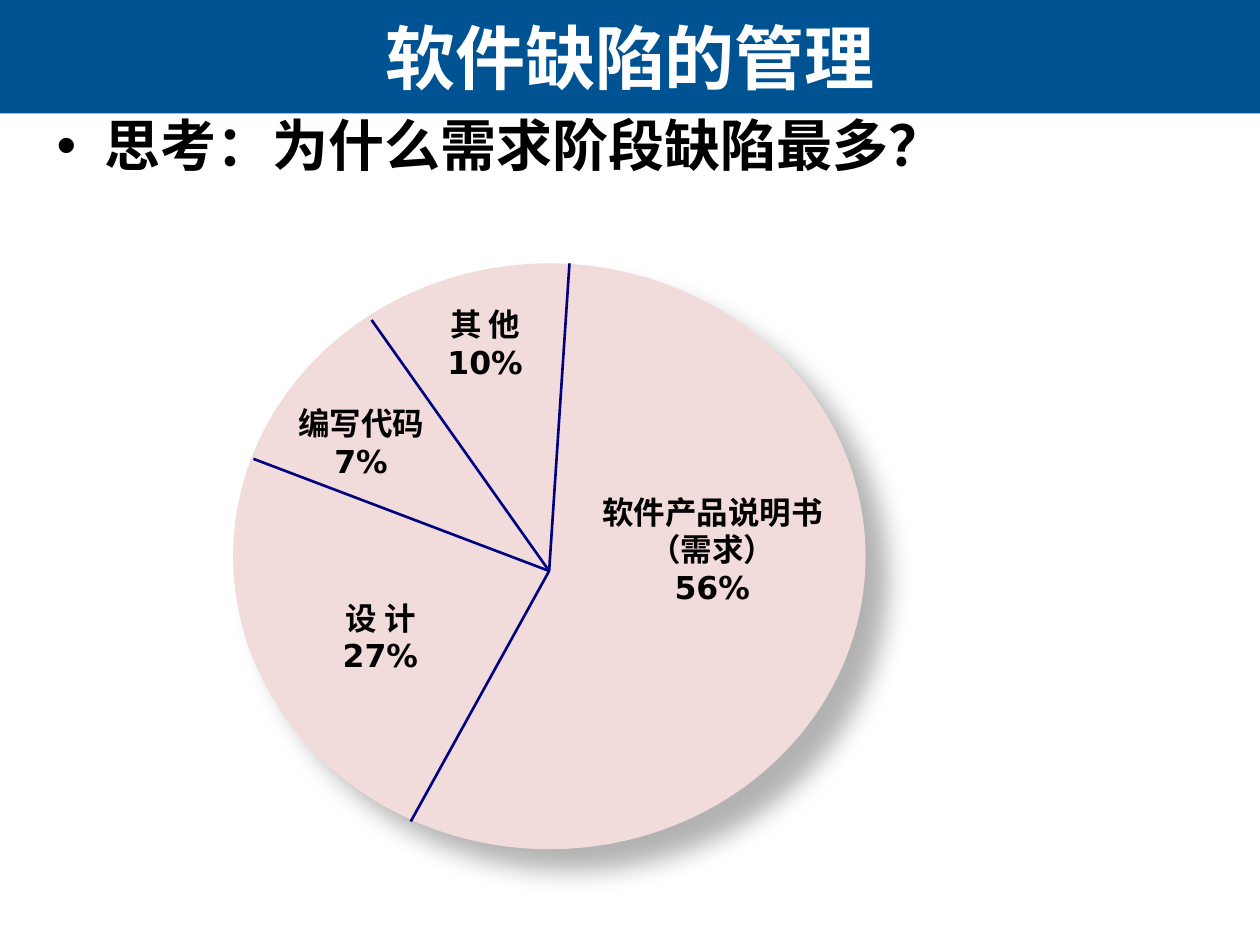
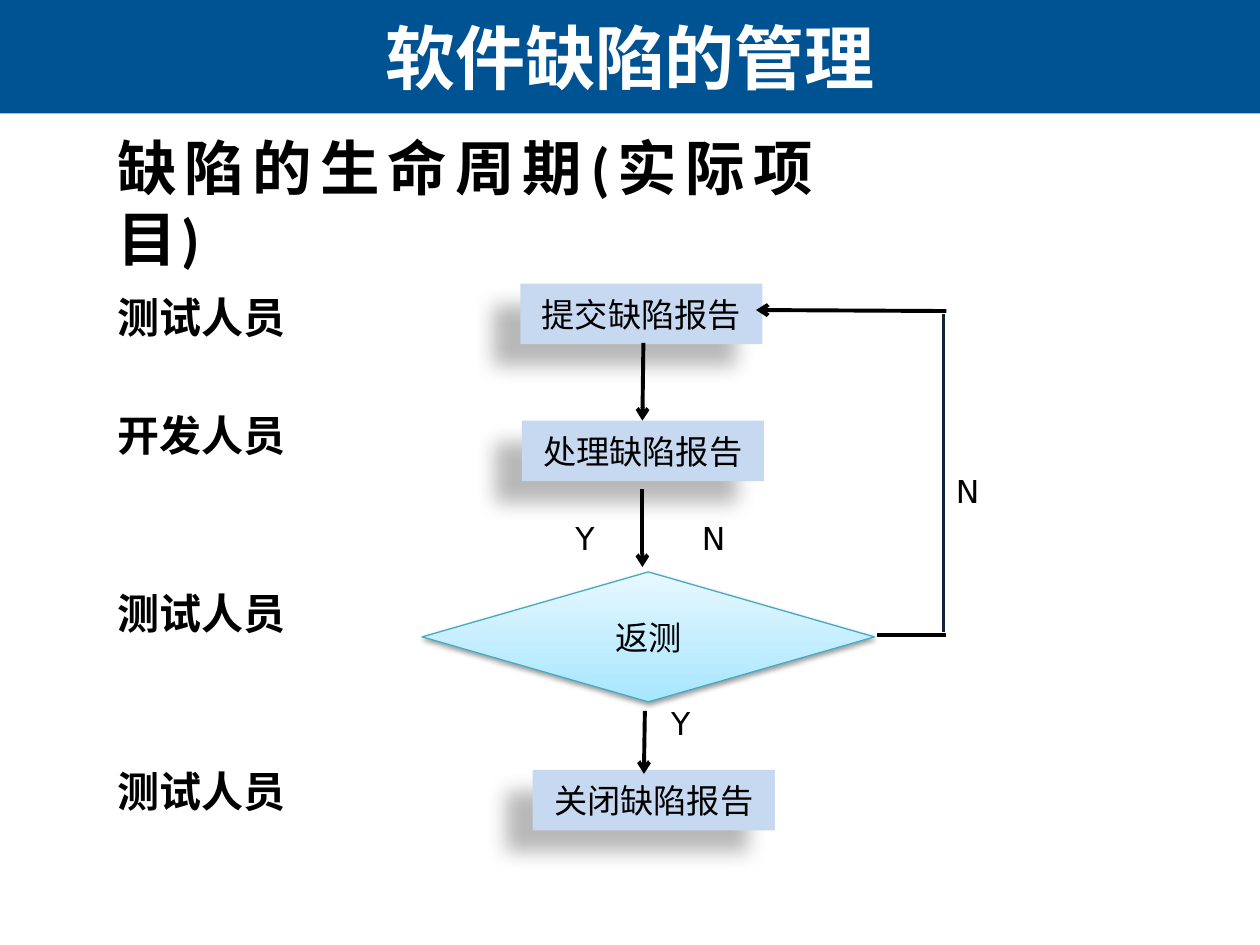
from lxml import etree
from pptx import Presentation
from pptx.dml.color import RGBColor
from pptx.enum.shapes import MSO_CONNECTOR, MSO_SHAPE
from pptx.enum.text import MSO_ANCHOR, MSO_AUTO_SIZE, PP_ALIGN
from pptx.oxml.ns import qn
from pptx.util import Cm, Pt

RECTANGLE, OVAL, DIAMOND = MSO_SHAPE.RECTANGLE, MSO_SHAPE.OVAL, MSO_SHAPE.DIAMOND
STRAIGHT = MSO_CONNECTOR.STRAIGHT
LEFT, CENTER, JUSTIFY = PP_ALIGN.LEFT, PP_ALIGN.CENTER, PP_ALIGN.JUSTIFY
TOP, MIDDLE = MSO_ANCHOR.TOP, MSO_ANCHOR.MIDDLE

BAND_BLUE, BOX_BLUE, PIE_PINK = "005392", "C6D9F1", "F2DCDB"
NAVY, DARK_BLUE, BLACK, WHITE = "000080", "0F243E", "000000", "FFFFFF"
CJK, LABEL_FONT = "Noto Sans CJK SC", "DejaVu Sans"

colour = RGBColor.from_string


def write(shape, text, font=CJK, size=18, color=BLACK, bold=False,
          align=LEFT, anchor=TOP, inset=None):
    """Fill a shape with text, one paragraph for each line."""
    frame = shape.text_frame
    frame.text = text
    frame.word_wrap = True
    frame.auto_size = MSO_AUTO_SIZE.NONE
    frame.vertical_anchor = anchor
    if inset is not None:
        frame.margin_left = frame.margin_right = Cm(inset)
        frame.margin_top = frame.margin_bottom = Cm(inset)
    for paragraph in frame.paragraphs:
        paragraph.alignment = align
        run_font = paragraph.runs[0].font
        run_font.name, run_font.size, run_font.bold = font, Pt(size), bold
        run_font.color.rgb = colour(color)


def add_block(slide, kind, left, top, width, height, fill):
    """Add a preset shape with a plain fill, no outline and no shadow."""
    shape = slide.shapes.add_shape(kind, Cm(left), Cm(top), Cm(width), Cm(height))
    shape.fill.solid()
    shape.fill.fore_color.rgb = colour(fill)
    shape.line.fill.background()
    shape.shadow.inherit = False
    return shape


presentation = Presentation()
presentation.slide_width, presentation.slide_height = Cm(25.4), Cm(19.05)
layout = presentation.slide_layouts[1]
pie_slide = presentation.slides.add_slide(layout)
flow_slide = presentation.slides.add_slide(layout)

# Shared band and title place live in the layout
band = add_block(pie_slide, RECTANGLE, 0, 0, 25.4, 2.29, BAND_BLUE)
layout.shapes.element.insert(2, band.element)
layout_title = layout.placeholders[0]
layout_title.left, layout_title.top = Cm(0), Cm(0)
layout_title.width, layout_title.height = Cm(25.4), Cm(2.29)

bodies = [
    (pie_slide, "思考：为什么需求阶段缺陷最多？", 32, (0.89, 2.11, 19.61, 5.82)),
    (flow_slide, "测试人员\n开发人员\n测试人员\n测试人员", 24, (2.11, 5.74, 21.29, 12.9)),
]
for slide, text, size, place in bodies:
    write(slide.shapes.title, "软件缺陷的管理", size=40, color=WHITE, bold=True,
          align=CENTER, anchor=MIDDLE)
    body = slide.placeholders[1]
    body.left, body.top, body.width, body.height = map(Cm, place)
    write(body, text, font="Arial", size=size, bold=True)

# Slide 1: shares of defects by phase
pie = add_block(pie_slide, OVAL, 4.7, 5.31, 12.75, 11.81, PIE_PINK)
phases = [
    ("其 他\n10%", 8.79, 6.15, 1.98),
    ("软件产品说明书（需求）\n56%", 11.86, 9.93, 5),
    ("编写代码\n7%", 5.49, 8.15, 3.58),
    ("设 计\n27%", 6.68, 12.07, 1.98),
]
for text, left, top, width in phases:
    label = pie_slide.shapes.add_textbox(Cm(left), Cm(top), Cm(width), Cm(2))
    write(label, text, font=LABEL_FONT, bold=True, align=CENTER, inset=0)

pie_center = (11.07, 11.51)
pie_edges = [(11.48, 5.31), (8.28, 16.56), (5.11, 9.25), (7.49, 6.45)]
lines = [(pie_slide, pie_center, edge, NAVY, 1.5, False) for edge in pie_edges]

# Slide 2: life cycle of a defect
roles = flow_slide.placeholders[1].text_frame.paragraphs
for role, gap in zip(roles, (0, 39, 73, 73)):
    role.space_before = Pt(gap)
    properties = role._p.get_or_add_pPr()
    properties.set("marL", "0")
    properties.set("indent", "0")
    etree.SubElement(properties, qn("a:buNone"))

heading = flow_slide.shapes.add_textbox(Cm(2.11), Cm(2.51), Cm(14.63), Cm(3.3))
write(heading, "缺陷的生命周期(实际项目)", font="Calibri", size=34, bold=True, align=JUSTIFY)
for properties in heading.element.iter(qn("a:rPr")):
    properties.set("spc", "300")

shadows = [(pie, 15, 18, 45, 30)]
steps = [("提交缺陷报告", 10.49, 5.72), ("处理缺陷报告", 10.52, 8.48), ("关闭缺陷报告", 10.74, 15.52)]
for text, left, top in steps:
    step = add_block(flow_slide, RECTANGLE, left, top, 4.88, 1.22, BOX_BLUE)
    write(step, text, size=19, align=CENTER, anchor=MIDDLE)
    shadows.append((step, 11.8, 19.7, 141, 28))

retest = add_block(flow_slide, DIAMOND, 8.51, 11.53, 9.12, 2.62, BOX_BLUE)
retest.fill.gradient()
retest.fill.gradient_angle = 90
for stop, shade in zip(retest.fill.gradient_stops, ("A7E6FF", "E7F8FF")):
    stop.color.rgb = colour(shade)
retest.line.color.rgb = colour("46AAC5")
retest.line.width = Pt(0.75)
write(retest, "返测", size=19, align=CENTER, anchor=MIDDLE)
shadows.append((retest, 3.1, 1.6, 90, 38))

for text, left, top in [("Y", 11.35, 10.34), ("N", 13.9, 10.34), ("Y", 13.28, 14.07), ("N", 19.02, 9.4)]:
    answer = flow_slide.shapes.add_textbox(Cm(left), Cm(top), Cm(1.2), Cm(1.07))
    write(answer, text, font=LABEL_FONT)

flow_lines = [
    ((12.97, 6.91), (12.95, 8.48), BLACK, True),
    ((12.95, 9.86), (12.95, 11.43), BLACK, True),
    ((13, 14.33), (12.98, 15.6), BLACK, True),
    ((17.68, 12.8), (19.08, 12.8), BLACK, False),
    ((19.02, 12.75), (19.02, 6.32), DARK_BLUE, False),
    ((19.08, 6.27), (15.24, 6.25), BLACK, True),
]
lines += [(flow_slide, start, end, color, 2.25, arrow) for start, end, color, arrow in flow_lines]

# Lines and shadows of both slides
for slide, start, end, color, width, arrow in lines:
    connector = slide.shapes.add_connector(STRAIGHT, *map(Cm, start + end))
    connector.line.color.rgb = colour(color)
    connector.line.width = Pt(width)
    properties = connector.element.spPr
    if arrow:
        etree.SubElement(properties.find(qn("a:ln")), qn("a:tailEnd"), type="arrow")
    etree.SubElement(properties, qn("a:effectLst"))

for shape, blur, distance, angle, opacity in shadows:
    effects = shape.element.spPr.find(qn("a:effectLst"))
    shadow = etree.SubElement(effects, qn("a:outerShdw"), blurRad=str(Pt(blur)), dist=str(Pt(distance)),
                              dir=str(angle * 60000), algn="ctr", rotWithShape="0")
    shade = etree.SubElement(shadow, qn("a:srgbClr"), val=BLACK)
    etree.SubElement(shade, qn("a:alpha"), val=str(opacity * 1000))

presentation.save("out.pptx")
